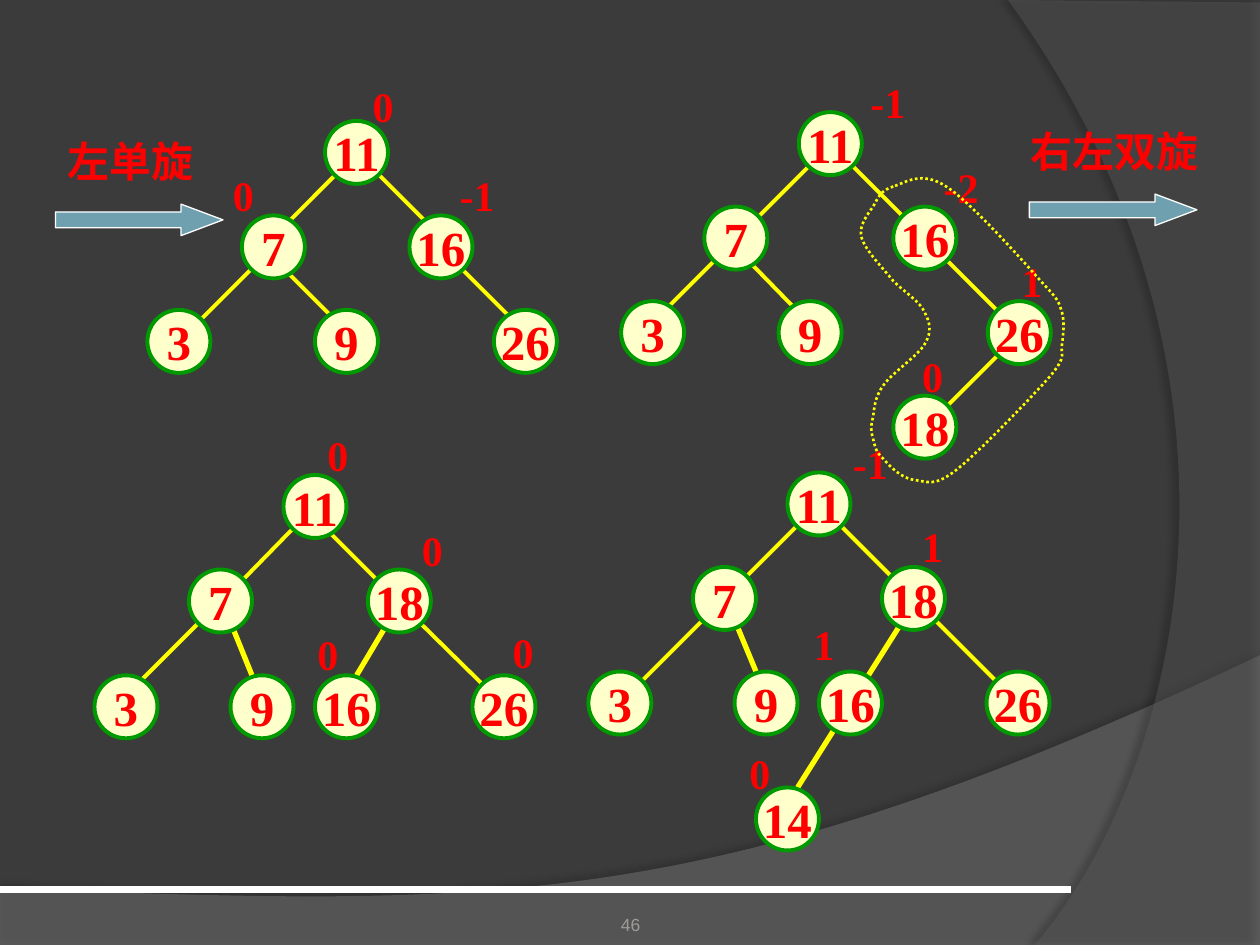
"""Build a slide with four AVL trees before and after rotations."""
from lxml.etree import SubElement
from pptx import Presentation
from pptx.dml.color import RGBColor
from pptx.enum.dml import MSO_LINE
from pptx.enum.shapes import MSO_CONNECTOR as Connector, MSO_SHAPE as Shape
from pptx.enum.text import MSO_ANCHOR as Anchor, PP_ALIGN as Align
from pptx.oxml.ns import qn
from pptx.util import Inches, Pt

RED, YELLOW, CREAM, GREEN, WHITE = "FF0000", "FFFF00", "FFFFCC", "009900", "FFFFFF"
SERIF = "Times New Roman"
SLIDE_WIDTH, SLIDE_HEIGHT = 10, 7.5
NODE_SIZE = 0.5

# Each tree: nodes (key, left, top), edges (x1, y1, x2, y2), balances (text, left, top)
TREES = [
    {"nodes": [("11", 2.58, 0.96), ("7", 1.92, 1.71), ("16", 3.25, 1.71),
               ("3", 1.17, 2.46), ("9", 2.5, 2.46), ("26", 3.92, 2.46)],
     "edges": [(2.67, 1.38, 2.25, 1.8), (2.92, 1.3, 3.42, 1.8), (2, 2.13, 1.58, 2.55),
               (2.25, 2.13, 2.75, 2.63), (3.58, 2.05, 4.08, 2.55)],
     "balances": [("0", 2.86, 0.59), ("0", 1.75, 1.3), ("-1", 3.55, 1.3)]},
    {"nodes": [("11", 6.34, 0.89), ("7", 5.59, 1.64), ("16", 7.09, 1.64),
               ("3", 4.93, 2.39), ("9", 6.18, 2.39), ("26", 7.84, 2.39), ("18", 7.09, 3.14)],
     "edges": [(6.43, 1.31, 6.01, 1.73), (6.76, 1.31, 7.18, 1.73), (5.76, 1.98, 5.26, 2.48),
               (5.93, 2.06, 6.34, 2.48), (7.51, 2.06, 7.93, 2.48), (7.93, 2.81, 7.51, 3.23)],
     "balances": [("-1", 6.81, 0.56), ("-2", 7.39, 1.23), ("1", 8.01, 1.98), ("0", 7.22, 2.73)]},
    {"nodes": [("11", 2.25, 3.77), ("7", 1.5, 4.52), ("18", 2.92, 4.52),
               ("3", 0.75, 5.36), ("9", 1.83, 5.36), ("16", 2.5, 5.36), ("26", 3.75, 5.36)],
     "edges": [(2.33, 4.19, 1.92, 4.61), (2.58, 4.19, 3.08, 4.69), (1.58, 4.94, 1.08, 5.44),
               (1.83, 4.94, 2, 5.36), (3.08, 4.94, 2.83, 5.36), (3.33, 4.94, 3.92, 5.52)],
     "balances": [("0", 2.5, 3.36), ("0", 3.25, 4.11), ("0", 2.42, 4.94), ("0", 3.97, 4.92)]},
    {"nodes": [("11", 6.25, 3.75), ("7", 5.5, 4.5), ("18", 7, 4.5), ("3", 4.67, 5.33),
               ("9", 5.83, 5.33), ("16", 6.5, 5.33), ("26", 7.83, 5.33), ("14", 6, 6.25)],
     "edges": [(6.33, 4.17, 5.83, 4.67), (6.67, 4.17, 7.25, 4.75), (5.67, 4.83, 4.92, 5.58),
               (5.83, 4.92, 6, 5.33), (7.17, 4.92, 6.33, 6.25), (7.42, 4.92, 8, 5.5)],
     "balances": [("-1", 6.67, 3.42), ("1", 7.22, 4.08), ("1", 6.36, 4.86), ("0", 5.85, 5.88)]},
]
# Rotation: name, name left, name top, name width, arrow left, arrow top
ROTATIONS = [("左单旋", 0.44, 1.03, 1.21, 0.44, 1.62),
             ("右左双旋", 8.08, 0.95, 1.54, 8.17, 1.54)]
# Curves are given as (control, control, end)
LASSO_START = (7.09, 1.48)
LASSO_CURVES = [
    ((6.99, 1.51), (6.97, 1.57), (6.93, 1.64)), ((6.88, 1.71), (6.81, 1.8), (6.84, 1.89)),
    ((6.87, 1.99), (7.01, 2.13), (7.09, 2.23)), ((7.18, 2.32), (7.3, 2.39), (7.34, 2.48)),
    ((7.38, 2.56), (7.4, 2.63), (7.34, 2.73)), ((7.29, 2.82), (7.08, 2.96), (7.01, 3.06)),
    ((6.94, 3.16), (6.94, 3.24), (6.93, 3.31)), ((6.91, 3.38), (6.91, 3.42), (6.93, 3.48)),
    ((6.94, 3.53), (6.95, 3.59), (7.01, 3.64)), ((7.06, 3.7), (7.16, 3.8), (7.26, 3.81)),
    ((7.36, 3.82), (7.41, 3.87), (7.59, 3.73)), ((7.77, 3.59), (8.2, 3.14), (8.34, 2.98)),
    ((8.48, 2.81), (8.41, 2.81), (8.43, 2.73)), ((8.44, 2.64), (8.45, 2.56), (8.43, 2.48)),
    ((8.4, 2.39), (8.41, 2.39), (8.26, 2.23)), ((8.11, 2.06), (7.7, 1.6), (7.51, 1.48)),
    ((7.31, 1.35), (7.19, 1.45), (7.09, 1.48)),
]
# Backdrop: corners, curve from the last corner, fill, opacity, shadow (opacity, distance, angle)
BACKDROPS = [
    ([(0, 7.05), (0, 7.51), (10, 7.51), (10, 5.2)], ((5.59, 7.29), (3.91, 7.19), (0, 7.05)),
     "7F7F7F", 45, (35, 3.5, 270)),
    ([(8, 0), (10, 0.02), (10, 7.5), (8.21, 7.5)], ((9.35, 6.19), (10.18, 3), (8, 0)),
     "5E5E5E", 40, (45, 4, 180)),
]


def color(value):
    return RGBColor.from_string(value)


def add_outline(slide, corners, curves):
    points = [*corners, *(point for curve in curves for point in curve)]
    start, *others = [(Inches(x), Inches(y)) for x, y in points]
    builder = slide.shapes.build_freeform(*start, scale=1)
    builder.add_line_segments(others, close=True)
    shape = builder.convert_to_shape()
    shape.shadow.inherit = False
    outline = next(shape._element.iter(qn("a:path")))
    segments = outline.findall(qn("a:lnTo"))[len(corners) - 1:]
    for first, second, third in zip(segments[::3], segments[1::3], segments[2::3]):
        first.tag = qn("a:cubicBezTo")
        for segment in (second, third):
            first.append(segment[0])
            outline.remove(segment)
    room = Inches(SLIDE_WIDTH) - shape.left
    if shape.width > room:
        shape.width = room
        outline.set("w", str(room))
    return shape


def paint(shape, fill, line, width):
    shape.shadow.inherit = False
    shape.fill.solid()
    shape.fill.fore_color.rgb = color(fill)
    shape.line.color.rgb = color(line)
    shape.line.width = Pt(width)


def write(shape, text, size, font=SERIF, ink=RED, bold=True, align=Align.LEFT):
    frame = shape.text_frame
    frame.text = text
    frame.word_wrap = False
    paragraph = frame.paragraphs[0]
    paragraph.alignment = align
    style = paragraph.runs[0].font
    style.name, style.size, style.bold = font, Pt(size), bold
    style.color.rgb = color(ink)
    return frame


def add_text(slide, text, left, top, width, height=0.5, size=24, **style):
    box = slide.shapes.add_textbox(Inches(left), Inches(top), Inches(width), Inches(height))
    return write(box, text, size, **style)


def add_line(slide, x1, y1, x2, y2, ink, width):
    line = slide.shapes.add_connector(Connector.STRAIGHT, *map(Inches, (x1, y1, x2, y2)))
    line.line.color.rgb = color(ink)
    line.line.width = Pt(width)
    SubElement(line._element.spPr, qn("a:effectLst"))


def add_backdrop(slide, corners, curve, fill, opacity, shadow):
    shape = add_outline(slide, corners, [curve])
    shape.fill.solid()
    shape.fill.fore_color.rgb = color(fill)
    shape.line.fill.background()
    properties = shape._element.spPr
    tint = properties.find(qn("a:solidFill")).find(qn("a:srgbClr"))
    SubElement(tint, qn("a:alpha"), val=str(opacity * 1000))
    shade, distance, angle = shadow
    outer = SubElement(properties.find(qn("a:effectLst")), qn("a:outerShdw"), blurRad=str(Pt(4)),
                       dist=str(Pt(distance)), dir=str(angle * 60000), rotWithShape="0")
    black = SubElement(outer, qn("a:srgbClr"), val="000000")
    SubElement(black, qn("a:alpha"), val=str(shade * 1000))


def add_tree(slide, tree):
    for x1, y1, x2, y2 in tree["edges"]:
        steep = abs(y2 - y1) > 1.2 * abs(x2 - x1)
        add_line(slide, x1, y1, x2, y2, YELLOW, 3 if steep else 2.25)
    for key, left, top in tree["nodes"]:
        node = slide.shapes.add_shape(Shape.OVAL, Inches(left), Inches(top),
                                      Inches(NODE_SIZE), Inches(NODE_SIZE))
        paint(node, CREAM, GREEN, 2.25)
        write(node, key, 28, align=Align.CENTER).vertical_anchor = Anchor.MIDDLE
    for text, left, top in tree["balances"]:
        add_text(slide, text, left, top, 0.37 if len(text) == 1 else 0.48)


def add_rotation(slide, name, left, top, width, arrow_left, arrow_top):
    arrow = slide.shapes.add_shape(Shape.RIGHT_ARROW, Inches(arrow_left), Inches(arrow_top),
                                   Inches(1.33), Inches(0.25))
    arrow.adjustments[0], arrow.adjustments[1] = 0.5, 1.33
    paint(arrow, "6EA0B0", WHITE, 0.75)
    add_text(slide, name, left, top, width)


def main():
    presentation = Presentation()
    presentation.slide_width = Inches(SLIDE_WIDTH)
    presentation.slide_height = Inches(SLIDE_HEIGHT)
    slide = presentation.slides.add_slide(presentation.slide_layouts[6])
    slide.background.fill.solid()
    slide.background.fill.fore_color.rgb = color("3B3B3B")
    for backdrop in BACKDROPS:
        add_backdrop(slide, *backdrop)
    add_line(slide, 0, 7.06, 8.5, 7.06, WHITE, 4.5)
    number = add_text(slide, "46", 3.42, 7.02, 3.17, 0.4, size=10, font="Arial",
                      ink="9D9B9A", bold=False, align=Align.CENTER)
    number.word_wrap = True
    number.vertical_anchor = Anchor.BOTTOM
    number.margin_left = number.margin_right = number.margin_bottom = 0
    for rotation in ROTATIONS:
        add_rotation(slide, *rotation)
    for tree in TREES:
        add_tree(slide, tree)
    lasso = add_outline(slide, [LASSO_START], LASSO_CURVES)
    lasso.fill.background()
    lasso.line.color.rgb = color(YELLOW)
    lasso.line.width = Pt(1.5)
    lasso.line.dash_style = MSO_LINE.ROUND_DOT
    presentation.save("out.pptx")


if __name__ == "__main__":
    main()
